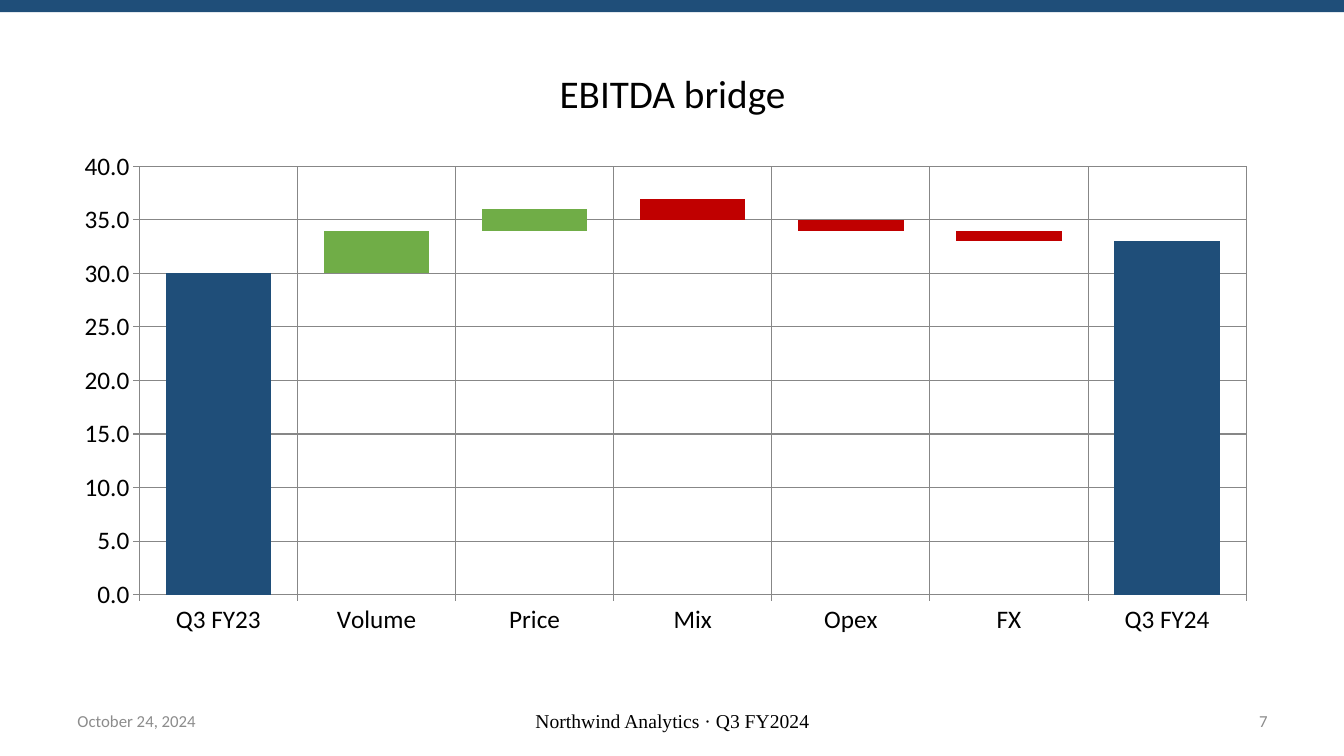
from pptx import Presentation
from pptx.chart.data import CategoryChartData
from pptx.dml.color import RGBColor
from pptx.enum.chart import XL_CHART_TYPE, XL_TICK_MARK
from pptx.enum.shapes import MSO_SHAPE
from pptx.enum.text import MSO_ANCHOR, PP_ALIGN
from pptx.util import Emu, Pt

PX = 9144
LEFT, CENTER, RIGHT = PP_ALIGN.LEFT, PP_ALIGN.CENTER, PP_ALIGN.RIGHT
MIDDLE = MSO_ANCHOR.MIDDLE
RECT = MSO_SHAPE.RECTANGLE
STACKED = XL_CHART_TYPE.COLUMN_STACKED
TICK_OUT = XL_TICK_MARK.OUTSIDE
TICK_NONE = XL_TICK_MARK.NONE

COLORS = {
    "navy": "1F4E79",
    "green": "70AD47",
    "red": "C00000",
    "black": "000000",
    "muted": "8C8C8C",
    "grid": "878787",
}
TITLE = {"size": Pt(28), "name": "Calibri"}
AXIS = {"size": Pt(18), "name": "Calibri"}
SMALL = {"size": Pt(12), "name": "Calibri"}
FOOTER = {"size": Pt(14), "name": "Times New Roman"}
CHART = {"size": Pt(10), "name": "Arial"}
SCALE = {"minimum_scale": 0, "maximum_scale": 40, "major_unit": 5}
PLOT = {"gap_width": 50, "overlap": 100, "vary_by_categories": False}

STAGES = ["Q3 FY23", "Volume", "Price", "Mix", "Opex", "FX", "Q3 FY24"]
SERIES = [
    ("Series 1", None, [0, 30, 34, 35, 34, 33, 0]),
    ("Series 2", "green", [0, 4, 2, 0, 0, 0, 0]),
    ("Series 3", "red", [0, 0, 0, 2, 1, 1, 0]),
    ("Series 4", "navy", [30, 0, 0, 0, 0, 0, 33]),
]


def rgb(key):
    return RGBColor.from_string(COLORS[key])


def box(*lengths):
    return [Emu(v * PX) for v in lengths]


def set_attrs(obj, fmt):
    for name, value in fmt.items():
        setattr(obj, name, value)


def set_font(font, fmt, color):
    set_attrs(font, fmt)
    font.color.rgb = rgb(color)


def set_fill(fill, color):
    if color is None:
        fill.background()
    else:
        fill.solid()
        fill.fore_color.rgb = rgb(color)


def add_text(s, at, text, fmt, color, align):
    tf = s.shapes.add_textbox(*box(*at)).text_frame
    tf.word_wrap = True
    tf.vertical_anchor = MIDDLE
    p = tf.paragraphs[0]
    p.alignment = align
    r = p.add_run()
    r.text = text
    set_font(r.font, fmt, color)


def add_bar(s, at, color):
    sp = s.shapes.add_shape(RECT, *box(*at))
    sp.shadow.inherit = False
    set_fill(sp.fill, color)
    sp.line.fill.background()


def style_axis(axis):
    axis.has_major_gridlines = True
    axis.major_tick_mark = TICK_OUT
    axis.minor_tick_mark = TICK_NONE
    set_font(axis.tick_labels.font, AXIS, "black")
    for line in (axis.format.line, axis.major_gridlines.format.line):
        line.color.rgb = rgb("grid")
        line.width = Pt(0.75)


def add_bridge(s, at):
    data = CategoryChartData(number_format="0.0")
    data.categories = STAGES
    for name, _, values in SERIES:
        data.add_series(name, values)
    chart = s.shapes.add_chart(STACKED, *box(*at), data).chart
    chart.has_title = False
    chart.has_legend = False
    set_font(chart.font, CHART, "black")
    for axis in (chart.category_axis, chart.value_axis):
        style_axis(axis)
    set_attrs(chart.value_axis, SCALE)
    plot = chart.plots[0]
    set_attrs(plot, PLOT)
    for series, (_, color, _) in zip(plot.series, SERIES):
        set_fill(series.format.fill, color)
        series.format.line.fill.background()


def main():
    prs = Presentation()
    prs.slide_width, prs.slide_height = box(1333, 750)
    s = prs.slides.add_slide(prs.slide_layouts[6])
    add_text(s, (67, 30, 1200, 125), "EBITDA bridge", TITLE, "black", CENTER)
    add_bar(s, (0, 0, 1333, 12), "navy")
    add_bridge(s, (60, 140, 1200, 500))
    footers = [
        (67, 311, "October 24, 2024", SMALL, "muted", LEFT),
        (456, 422, "Northwind Analytics · Q3 FY2024", FOOTER, "black", CENTER),
        (956, 311, "7", SMALL, "muted", RIGHT),
    ]
    for x, width, *content in footers:
        add_text(s, (x, 695, width, 40), *content)
    prs.save("out.pptx")


if __name__ == "__main__":
    main()
